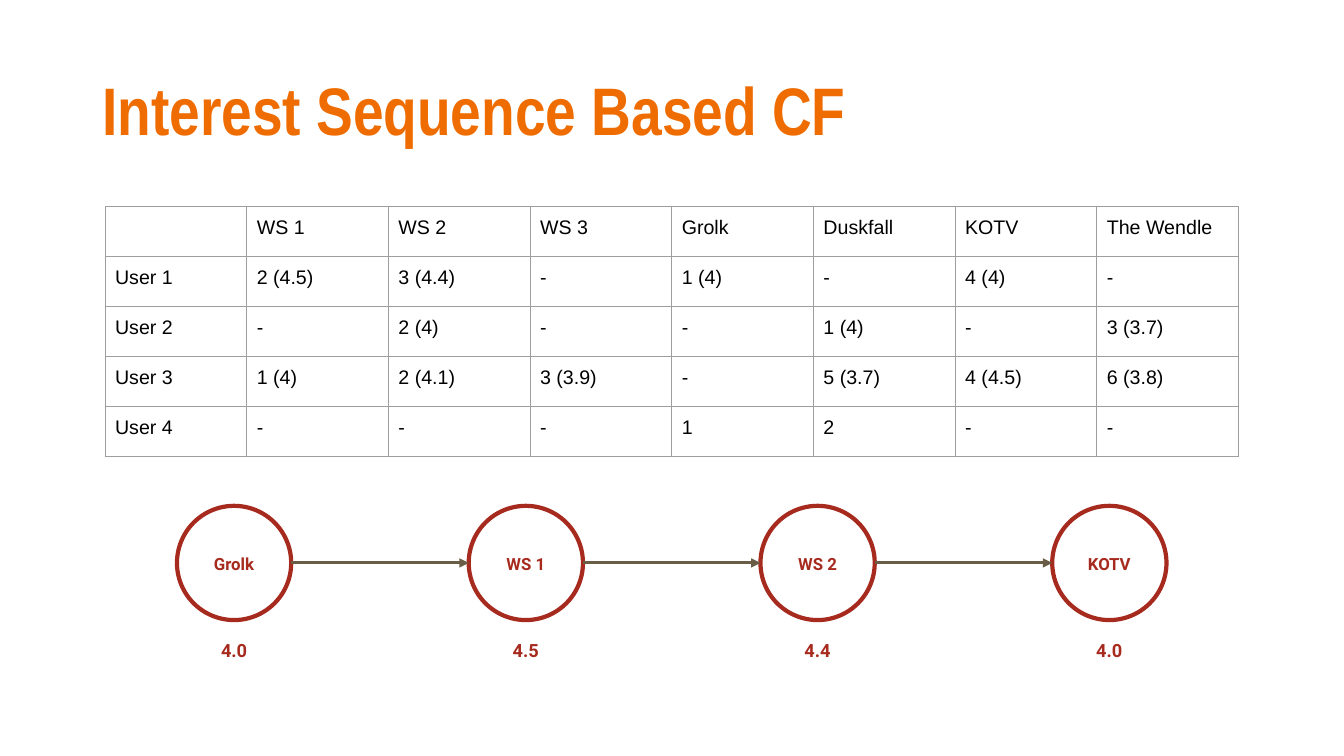
from lxml.etree import SubElement
from pptx import Presentation
from pptx.dml.color import RGBColor
from pptx.enum.shapes import MSO_CONNECTOR, MSO_SHAPE
from pptx.enum.text import MSO_ANCHOR, PP_ALIGN
from pptx.oxml.ns import qn
from pptx.util import Pt

ORANGE = RGBColor(0xEF, 0x6C, 0x00)
RED = RGBColor(0xA7, 0x2A, 0x1E)
BROWN = RGBColor(0x69, 0x5D, 0x46)
GRAY = RGBColor(0x9E, 0x9E, 0x9E)
BLACK = RGBColor(0, 0, 0)

RATINGS = [
    ["", "WS 1", "WS 2", "WS 3", "Grolk", "Duskfall", "KOTV", "The Wendle"],
    ["User 1", "2 (4.5)", "3 (4.4)", "-", "1 (4)", "-", "4 (4)", "-"],
    ["User 2", "-", "2 (4)", "-", "-", "1 (4)", "-", "3 (3.7)"],
    ["User 3", "1 (4)", "2 (4.1)", "3 (3.9)", "-", "5 (3.7)", "4 (4.5)", "6 (3.8)"],
    ["User 4", "-", "-", "-", "1", "2", "-", "-"],
]
SEQUENCE = [("Grolk", "4.0"), ("WS 1", "4.5"), ("WS 2", "4.4"), ("KOTV", "4.0")]


def write(para, text, font, size, color, bold=True):
    span = para.add_run()
    span.text = text
    for name, value in {"name": font, "size": Pt(size), "bold": bold}.items():
        setattr(span.font, name, value)
    span.font.color.rgb = color


def add_text_box(left, top, width, height, insets, anchor, para_format):
    """Add a wrapping text box and return its first paragraph."""
    frame = page.shapes.add_textbox(Pt(left), Pt(top), Pt(width), Pt(height)).text_frame
    frame.word_wrap = True
    frame.vertical_anchor = anchor
    frame.margin_left = frame.margin_right = Pt(insets[0])
    frame.margin_top = frame.margin_bottom = Pt(insets[1])
    for name, value in para_format.items():
        setattr(frame.paragraphs[0], name, value)
    return frame.paragraphs[0]


deck = Presentation()
deck.slide_width, deck.slide_height = Pt(960), Pt(540)
page = deck.slides.add_slide(deck.slide_layouts[6])

title = add_text_box(66, 28.8, 828, 104.4, (7.2, 3.6), MSO_ANCHOR.MIDDLE,
                     {"line_spacing": 0.9})
write(title, "Interest Sequence Based CF", "Arial Narrow", 48, ORANGE)

# Ratings table
table = page.shapes.add_table(len(RATINGS), len(RATINGS[0]), Pt(75), Pt(147.5),
                              Pt(809.6), Pt(178.4)).table
table.first_row = table.horz_banding = False
for column in table.columns:
    column.width = Pt(101.2)
for row, values in zip(table.rows, RATINGS):
    row.height = Pt(35.6)
    for cell, value in zip(row.cells, values):
        for side in ("left", "right", "top", "bottom"):
            setattr(cell, f"margin_{side}", Pt(7.2))
        if value:
            write(cell.text_frame.paragraphs[0], value, "Arial", 14, BLACK, False)
        properties = cell._tc.get_or_add_tcPr()
        for edge in ("a:lnL", "a:lnR", "a:lnT", "a:lnB"):
            border = SubElement(properties, qn(edge), w=str(Pt(0.75)))
            SubElement(SubElement(border, qn("a:solidFill")), qn("a:srgbClr"), val=str(GRAY))
        cell.fill.background()
table.rows[0].height = Pt(36)

# Viewing sequence
DIAMETER, PITCH = 81.6, 208.4
FIRST_CENTER, MIDDLE = 167.2, 402.1
centers = [FIRST_CENTER + PITCH * i for i in range(len(SEQUENCE))]
centered = {"alignment": PP_ALIGN.CENTER, "line_spacing": 1.15}

for center, (film, rating) in zip(centers, SEQUENCE):
    circle = page.shapes.add_shape(MSO_SHAPE.OVAL, Pt(center - DIAMETER / 2),
                                   Pt(MIDDLE - DIAMETER / 2), Pt(DIAMETER), Pt(DIAMETER))
    circle.shadow.inherit = False
    circle.fill.background()
    circle.line.color.rgb = RED
    circle.line.width = Pt(3)

    label = add_text_box(center - 33.5, 385.2, 67, 33.2, (9.4, 9.4), MSO_ANCHOR.TOP,
                         {**centered, "space_after": Pt(21)})
    write(label, film, "Roboto", 12, RED)
    score = add_text_box(center - 89.6, 434.2, 179.2, 46.8, (9.4, 9.4), MSO_ANCHOR.BOTTOM,
                         centered)
    write(score, rating, "Roboto", 13, RED)

for start, end in zip(centers, centers[1:]):
    arrow = page.shapes.add_connector(MSO_CONNECTOR.STRAIGHT, Pt(start + DIAMETER / 2), Pt(MIDDLE),
                                      Pt(end - DIAMETER / 2), Pt(MIDDLE))
    arrow.line.color.rgb = BROWN
    arrow.line.width = Pt(2.25)
    SubElement(arrow.line._get_or_add_ln(), qn("a:tailEnd"), type="triangle")
    SubElement(arrow._element.spPr, qn("a:effectLst"))

deck.save("out.pptx")
